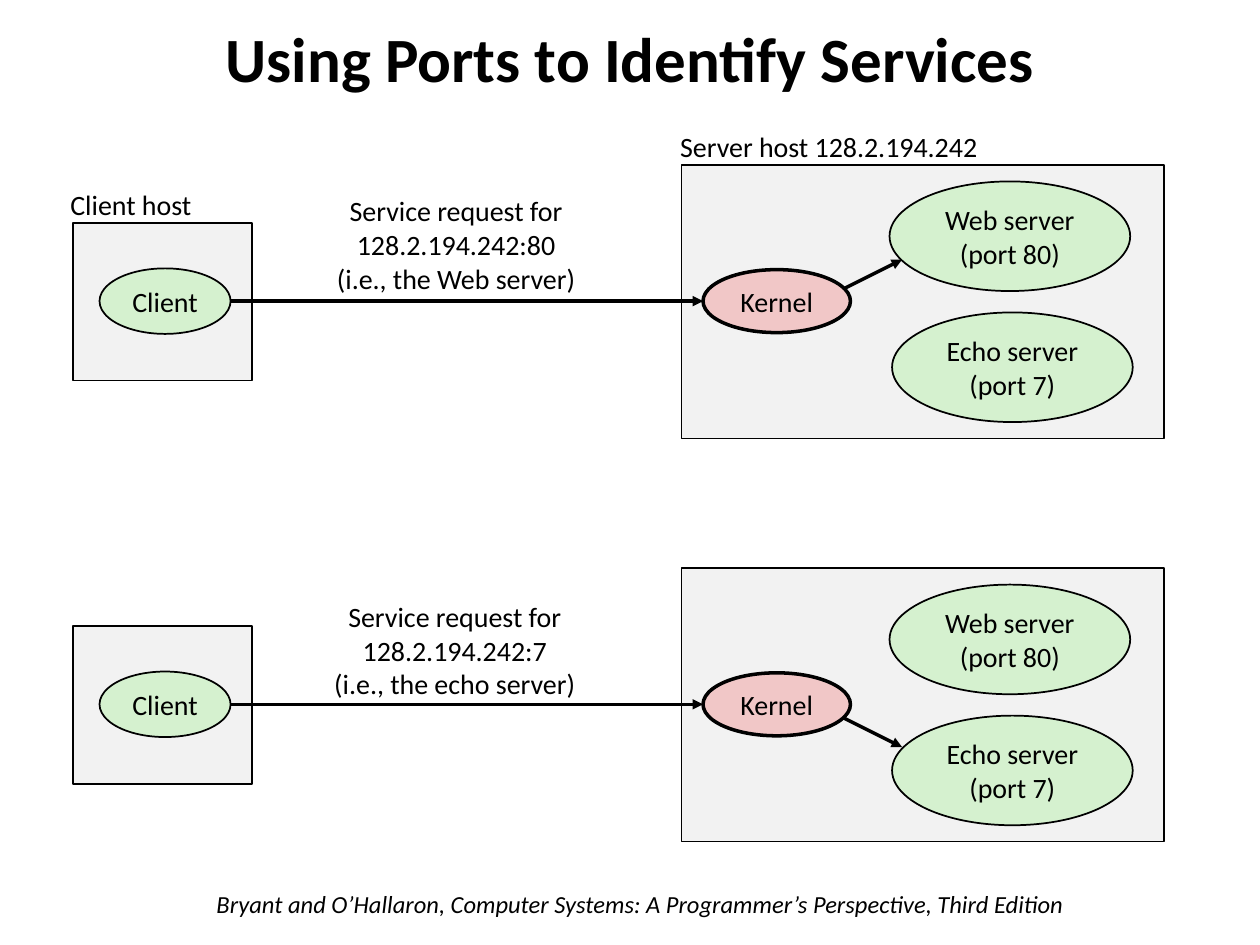
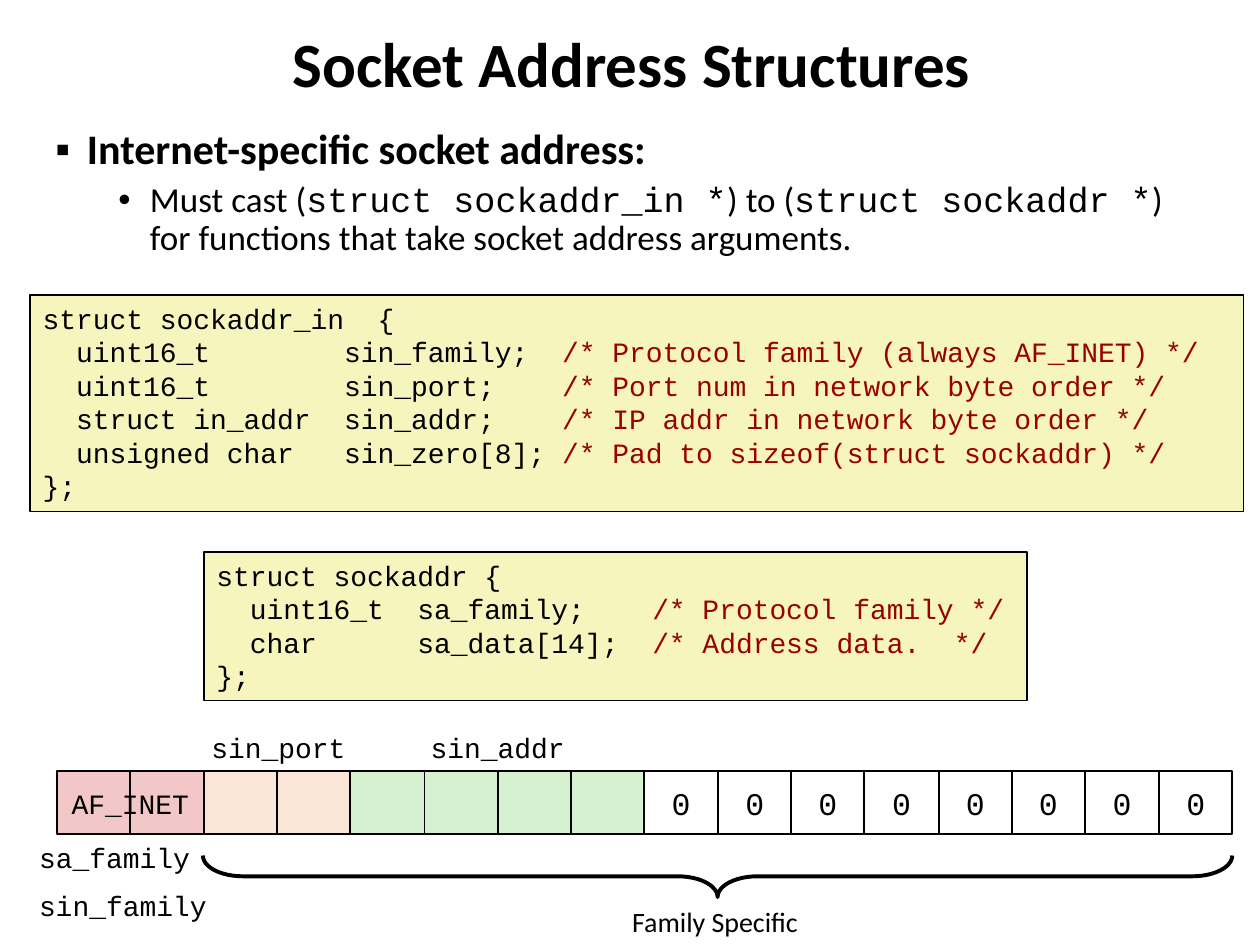
"""Build two slides on service ports and socket address structures."""
import dataclasses

import pptx
import pptx.dml.color
import pptx.enum.shapes
import pptx.enum.text
import pptx.oxml.ns
import pptx.util
from lxml import etree

PX = 9144
SHAPES = pptx.enum.shapes.MSO_SHAPE
ALIGN = pptx.enum.text.PP_ALIGN
ANCHOR = pptx.enum.text.MSO_ANCHOR
tag = pptx.oxml.ns.qn


@dataclasses.dataclass(frozen=True)
class Theme:
    sans: str = "Calibri"
    mono: str = "Courier New"
    ink: str = "000000"
    comment: str = "990000"
    white: str = "FFFFFF"
    host: str = "F2F2F2"
    green: str = "D5F1CF"
    pink: str = "F1C7C7"
    peach: str = "FBE5D6"
    code: str = "F6F5BD"
    title_size: int = 36
    head_size: int = 24
    item_size: int = 20
    cell_size: int = 18
    text_size: int = 16
    footer_size: int = 14


theme = Theme()
rgb = pptx.dml.color.RGBColor.from_string


def draw(page, kind, frame, fill=None, weight=1):
    """Add an outlined preset shape, filled when a colour is given."""
    shape = page.shapes.add_shape(kind, *[n * PX for n in frame])
    shape.shadow.inherit = False
    if fill:
        shape.fill.solid()
        shape.fill.fore_color.rgb = rgb(fill)
    else:
        shape.fill.background()
    shape.line.color.rgb = rgb(theme.ink)
    shape.line.width = pptx.util.Pt(weight)
    return shape


def write(box, lines, font=theme.sans, size=theme.text_size, align=ALIGN.CENTER,
          anchor=ANCHOR.TOP, wrap=False, bold=False, italic=False):
    """Write lines into a shape, with code comments in their own colour."""
    frame = box.text_frame
    frame.auto_size = pptx.enum.text.MSO_AUTO_SIZE.NONE
    frame.word_wrap = wrap
    frame.vertical_anchor = anchor
    for index, line in enumerate(lines):
        para = frame.add_paragraph() if index else frame.paragraphs[0]
        para.alignment = align
        plain, mark, rest = line.partition("/*")
        for text, color in ((plain, theme.ink), (mark + rest, theme.comment)):
            if text:
                span = para.add_run()
                span.text = text
                span.font.name = font
                span.font.size = pptx.util.Pt(size)
                span.font.bold = bold
                span.font.italic = italic
                span.font.color.rgb = rgb(color)


deck = pptx.Presentation()
deck.slide_width, deck.slide_height = 1000 * PX, 750 * PX
pages = []
for layout, heading, frame in (
    (5, "Using Ports to Identify Services", (0, 0, 1000, 98)),
    (1, "Socket Address Structures", (25, 11, 953, 85)),
):
    page = deck.slides.add_slide(deck.slide_layouts[layout])
    title = page.shapes.title
    title.left, title.top, title.width, title.height = [n * PX for n in frame]
    write(title, [heading], size=theme.title_size, anchor=ANCHOR.MIDDLE, wrap=True, bold=True)
    title.text_frame.paragraphs[0].line_spacing = 0.9
    pages.append(page)
ports_page, socket_page = pages

footer = ports_page.shapes.add_textbox(*[n * PX for n in (162, 701, 710, 34)])
write(footer, ["Bryant and O’Hallaron, Computer Systems: A Programmer’s Perspective, Third Edition"],
      size=theme.footer_size, align=ALIGN.LEFT, wrap=True, italic=True)

for text, frame in (
    ("Client host", (46, 144, 119, 37)),
    ("Server host 128.2.194.242", (530, 98, 263, 37)),
):
    label = ports_page.shapes.add_textbox(*[n * PX for n in frame])
    write(label, [text], align=ALIGN.LEFT)

for drop, port, service, label_left, label_top, hop_start, hop_end in (
    (0, 80, "Web", 217, 149, 231, 206),
    (320, 7, "echo", 216, 471, 568, 593),
):
    draw(ports_page, SHAPES.RECTANGLE, (58, 177 + drop, 142, 125), theme.host)
    draw(ports_page, SHAPES.RECTANGLE, (541, 131 + drop, 383, 217), theme.host)
    label = ports_page.shapes.add_textbox(*[n * PX for n in (label_left, label_top, 290, 90)])
    write(label, ["Service request for", f"128.2.194.242:{port}", f"(i.e., the {service} server)"])

    for points in ((183, 239 + drop, 558, 239 + drop), (666, hop_start, 716, hop_end)):
        arrow = ports_page.shapes.add_connector(
            pptx.enum.shapes.MSO_CONNECTOR.STRAIGHT, *[n * PX for n in points])
        arrow.line.color.rgb = rgb(theme.ink)
        arrow.line.width = pptx.util.Pt(2)
        etree.SubElement(arrow.line._get_or_add_ln(), tag("a:tailEnd"), type="triangle")
        etree.SubElement(arrow._element.spPr, tag("a:effectLst"))

    for lines, frame, fill, weight in (
        (["Web server", "(port 80)"], (706, 144 + drop, 191, 87), theme.green, 1),
        (["Echo server", "(port 7)"], (708, 248 + drop, 191, 87), theme.green, 1),
        (["Kernel"], (558, 214 + drop, 117, 50), theme.pink, 2),
        (["Client"], (79, 213 + drop, 104, 52), theme.green, 1),
    ):
        process = draw(ports_page, SHAPES.OVAL, frame, fill, weight)
        write(process, lines, anchor=ANCHOR.MIDDLE)

body = socket_page.placeholders[1]
body.left, body.top, body.width, body.height = [n * PX for n in (34, 97, 909, 183)]
body.text_frame.auto_size = pptx.enum.text.MSO_AUTO_SIZE.NONE
for level, bullet, margin, before, size, texts in (
    (0, "▪", 25, 10, theme.head_size, ["Internet-specific socket address:"]),
    (1, "•", 75, 5, theme.item_size, [
        "Must cast (", "struct sockaddr_in *", ") to (", "struct sockaddr *",
        ") for functions that take socket address arguments."]),
):
    para = body.text_frame.add_paragraph() if level else body.text_frame.paragraphs[0]
    para.level = level
    para.line_spacing = 0.9
    para.space_before = pptx.util.Pt(before)
    properties = para._p.get_or_add_pPr()
    properties.set("marL", str(margin * PX))
    properties.set("indent", str(-25 * PX))
    etree.SubElement(properties, tag("a:buChar"), char=bullet)
    for index, text in enumerate(texts):
        span = para.add_run()
        span.text = text
        span.font.name = theme.mono if index % 2 else theme.sans
        span.font.size = pptx.util.Pt(size)
        span.font.bold = level == 0
        span.font.color.rgb = rgb(theme.ink)

for frame, lines in (
    ((24, 234, 963, 172), [
        "struct sockaddr_in  {",
        "  uint16_t        sin_family;  /* Protocol family (always AF_INET) */",
        "  uint16_t        sin_port;    /* Port num in network byte order */",
        "  struct in_addr  sin_addr;    /* IP addr in network byte order */",
        "  unsigned char   sin_zero[8]; /* Pad to sizeof(struct sockaddr) */",
        "};"]),
    ((162, 438, 653, 118), [
        "struct sockaddr {",
        "  uint16_t  sa_family;    /* Protocol family */",
        "  char      sa_data[14];  /* Address data.  */",
        "};"]),
):
    listing = draw(socket_page, SHAPES.RECTANGLE, frame, theme.code)
    write(listing, lines, font=theme.mono, align=ALIGN.LEFT, wrap=True)

byte_fills = [theme.pink] * 2 + [theme.peach] * 2 + [theme.green] * 4 + [theme.white] * 8
byte_edges = [45 + round(index * 933 / 16) for index in range(17)]
for left, right, fill in zip(byte_edges, byte_edges[1:], byte_fills):
    cell = draw(socket_page, SHAPES.RECTANGLE, (left, 612, right - left, 50), fill)
    if fill == theme.white:
        write(cell, ["0"], font=theme.mono, size=theme.cell_size, anchor=ANCHOR.MIDDLE)

brace = draw(socket_page, SHAPES.RIGHT_BRACE, (553, 287, 33, 817), weight=2.25)
brace.rotation = 90
brace.adjustments[0] = 0.96

for text, font, frame in (
    ("sin_port", theme.mono, (157, 575, 128, 37)),
    ("sin_addr", theme.mono, (331, 575, 128, 37)),
    ("AF_INET", theme.mono, (46, 619, 115, 37)),
    ("sa_family", theme.mono, (21, 662, 140, 37)),
    ("sin_family", theme.mono, (20, 700, 155, 37)),
    ("Family Specific", theme.sans, (489, 713, 157, 37)),
):
    label = socket_page.shapes.add_textbox(*[n * PX for n in frame])
    write(label, [text], font=font)

deck.save("out.pptx")
